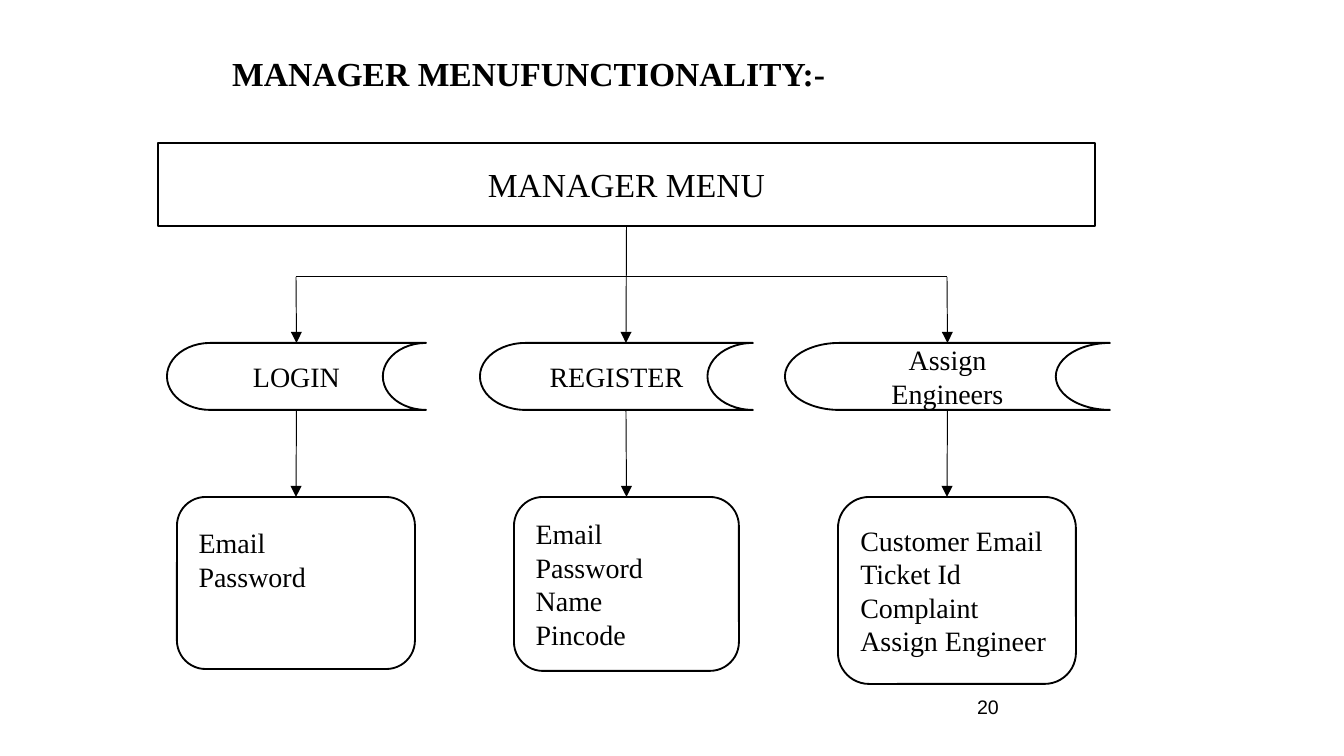
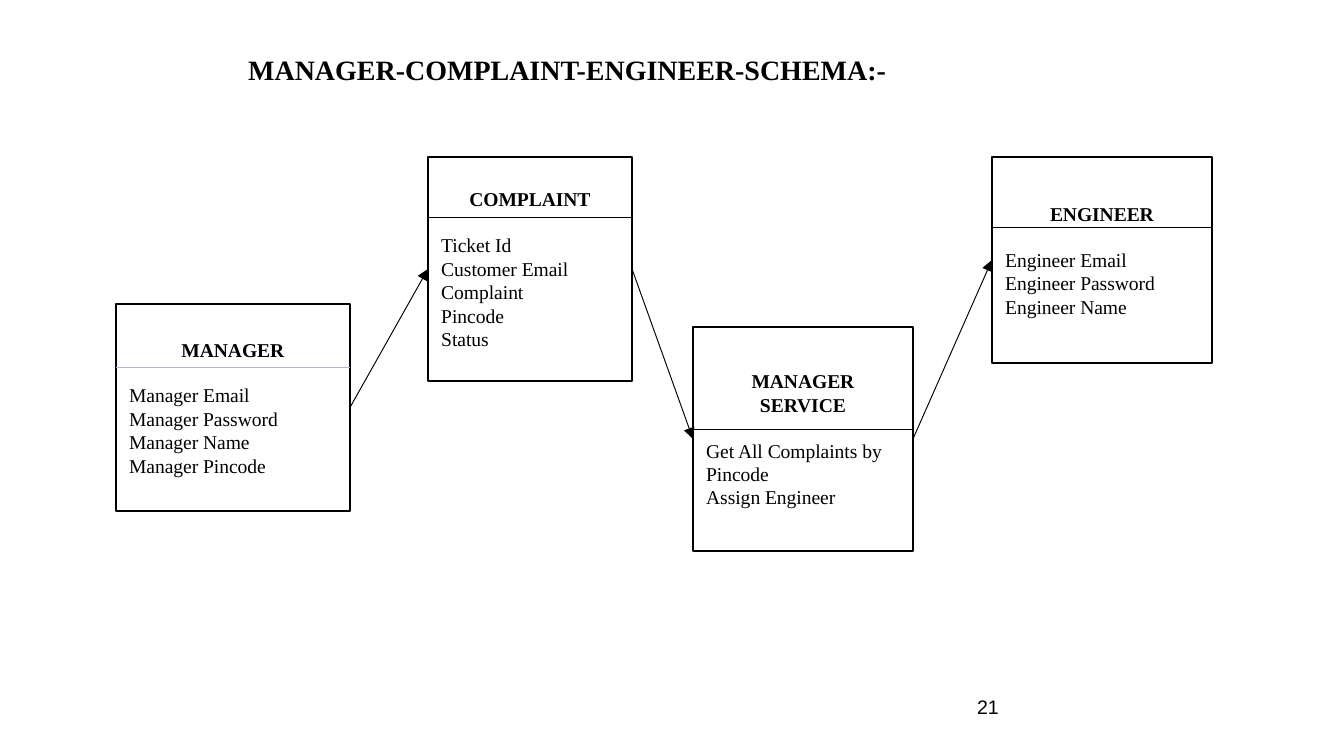
"""Build the manager menu flow and the manager-complaint-engineer schema slides."""
from itertools import pairwise

from lxml import etree
from pptx import Presentation
from pptx.dml.color import RGBColor
from pptx.enum.shapes import MSO_CONNECTOR, MSO_SHAPE
from pptx.enum.text import MSO_ANCHOR, PP_ALIGN
from pptx.oxml.ns import qn
from pptx.util import Emu, Pt

RECTANGLE = MSO_SHAPE.RECTANGLE
ROUNDED = MSO_SHAPE.ROUNDED_RECTANGLE
STORED_DATA = MSO_SHAPE.FLOWCHART_STORED_DATA
STRAIGHT = MSO_CONNECTOR.STRAIGHT
LEFT, CENTER = PP_ALIGN.LEFT, PP_ALIGN.CENTER
TOP, MIDDLE = MSO_ANCHOR.TOP, MSO_ANCHOR.MIDDLE

PX_PER_INCH = 134.4
BLACK, WHITE, PALE_BLUE = "000000", "FFFFFF", "AAB8E2"
SERIF, SANS = "Times New Roman", "Arial"
TITLE_TOP = 46
NUMBER_AREA = (964, 688, 313, 52)

MENU_TITLE = ("MANAGER MENUFUNCTIONALITY:-", 18, (219, 762, 70), "20")
MENU = ("MANAGER MENU", (158, 143, 937, 83))
RAIL_Y, ACTION_Y, ACTION_HEIGHT, FIELDS_Y = 277, 343, 67, 497
ACTIONS = [
    {"name": "LOGIN", "x": 296, "action": (167, 259), "fields": (177, 238, 172),
     "lines": ["Email", "Password"], "bottom_inset": 54},
    {"name": "REGISTER", "x": 626, "action": (480, 273), "fields": (514, 225, 174),
     "lines": ["Email", "Password", "Name", "Pincode"], "bottom_inset": 7},
    {"name": "Assign Engineers", "x": 947, "action": (785, 325), "fields": (838, 238, 187),
     "lines": ["Customer Email", "Ticket Id", "Complaint", "Assign Engineer"],
     "bottom_inset": 7},
]

SCHEMA_TITLE = ("MANAGER-COMPLAINT-ENGINEER-SCHEMA:-", 15, (235, 710, 87), "21")
ENTITIES = [
    ("MANAGER", (116, 304, 234, 207), 368, PALE_BLUE,
     ["Manager Email", "Manager Password", "Manager Name", "Manager Pincode"]),
    ("COMPLAINT", (428, 157, 204, 224), 218, BLACK,
     ["Ticket Id", "Customer Email", "Complaint", "Pincode", "Status"]),
    ("MANAGER SERVICE", (693, 327, 220, 224), 430, BLACK,
     ["Get All Complaints by Pincode", "Assign Engineer"]),
    ("ENGINEER", (992, 157, 220, 206), 228, BLACK,
     ["Engineer Email", "Engineer Password", "Engineer Name"]),
]


def px(length):
    return Emu(round(length * 914400 / PX_PER_INCH))


def color(hex_string):
    return RGBColor.from_string(hex_string)


def write(box, text, size=15, font=SERIF, bold=False, align=LEFT, anchor=TOP,
          gap=0, first=True):
    frame = box.text_frame
    frame.word_wrap = True
    frame.vertical_anchor = anchor
    for index, line in enumerate(text.split("\n")):
        is_first = first and index == 0
        para = frame.paragraphs[0] if is_first else frame.add_paragraph()
        para.alignment = align
        if index == 0 and gap:
            para.space_before = Pt(gap)
        span = para.add_run()
        span.text = line
        span.font.size = Pt(size)
        span.font.name = font
        span.font.bold = bold
        span.font.color.rgb = color(BLACK)


def add_text(page, area, text, **style):
    write(page.shapes.add_textbox(*map(px, area)), text, **style)


def add_box(page, kind, area):
    box = page.shapes.add_shape(kind, *map(px, area))
    box.shadow.inherit = False
    box.fill.solid()
    box.fill.fore_color.rgb = color(WHITE)
    box.line.color.rgb = color(BLACK)
    box.line.width = Pt(1)
    return box


def add_line(page, start, end, line_color=BLACK, arrow=False):
    line = page.shapes.add_connector(STRAIGHT, *map(px, (*start, *end)))
    line.line.color.rgb = color(line_color)
    line.line.width = Pt(0.5)
    if arrow:
        etree.SubElement(line.line._get_or_add_ln(), qn("a:tailEnd"), type="triangle")
    etree.SubElement(line._element.spPr, qn("a:effectLst"))
    return line


def is_centered(box, x):
    return abs(box.left + box.width / 2 - px(x)) < px(2)


def add_drop(page, x, top, bottom, upper=None, lower=None):
    line = add_line(page, (x, top), (x, bottom), arrow=True)
    if upper and is_centered(upper, x):
        line.begin_connect(upper, 2)
    if lower and is_centered(lower, x):
        line.end_connect(lower, 0)


def add_page(deck, title, size, place, number):
    page = deck.slides.add_slide(deck.slide_layouts[6])
    left, width, height = place
    add_text(page, NUMBER_AREA, number, size=10.5, font=SANS)
    add_text(page, (left, TITLE_TOP, width, height), title, size=size, bold=True)
    return page


def build_menu(deck):
    page = add_page(deck, *MENU_TITLE)
    name, area = MENU
    menu = add_box(page, RECTANGLE, area)
    write(menu, name, size=18, align=CENTER, anchor=MIDDLE)
    menu_x, menu_bottom = area[0] + area[2] / 2, area[1] + area[3]
    add_line(page, (ACTIONS[0]["x"], RAIL_Y), (ACTIONS[-1]["x"], RAIL_Y))
    for item in ACTIONS:
        left, width = item["action"]
        action = add_box(page, STORED_DATA, (left, ACTION_Y, width, ACTION_HEIGHT))
        write(action, item["name"], align=CENTER, anchor=MIDDLE)
        left, width, height = item["fields"]
        fields = add_box(page, ROUNDED, (left, FIELDS_Y, width, height))
        write(fields, "\n".join(item["lines"]), anchor=MIDDLE)
        fields.text_frame.margin_bottom = px(item["bottom_inset"])
        under_menu = abs(item["x"] - menu_x) < 2
        add_drop(page, item["x"], menu_bottom if under_menu else RAIL_Y, ACTION_Y,
                 upper=menu if under_menu else None, lower=action)
        add_drop(page, item["x"], ACTION_Y + ACTION_HEIGHT, FIELDS_Y,
                 upper=action, lower=fields)


def build_schema(deck):
    page = add_page(deck, *SCHEMA_TITLE)
    boxes = []
    for name, area, divider_y, divider_color, fields in ENTITIES:
        box = add_box(page, RECTANGLE, area)
        write(box, name, size=10.5, bold=True, align=CENTER, anchor=MIDDLE)
        write(box, "\n".join(fields), size=10.5, anchor=MIDDLE, gap=12, first=False)
        left, _, width, _ = area
        add_line(page, (left, divider_y), (left + width, divider_y), divider_color)
        boxes.append(box)
    for source, target in pairwise(boxes):
        arrow = add_line(page, (0, 0), (0, 0), arrow=True)
        arrow.begin_connect(source, 3)
        arrow.end_connect(target, 1)


def main():
    deck = Presentation()
    deck.slide_width, deck.slide_height = px(1344), px(756)
    build_menu(deck)
    build_schema(deck)
    deck.save("out.pptx")


if __name__ == "__main__":
    main()
